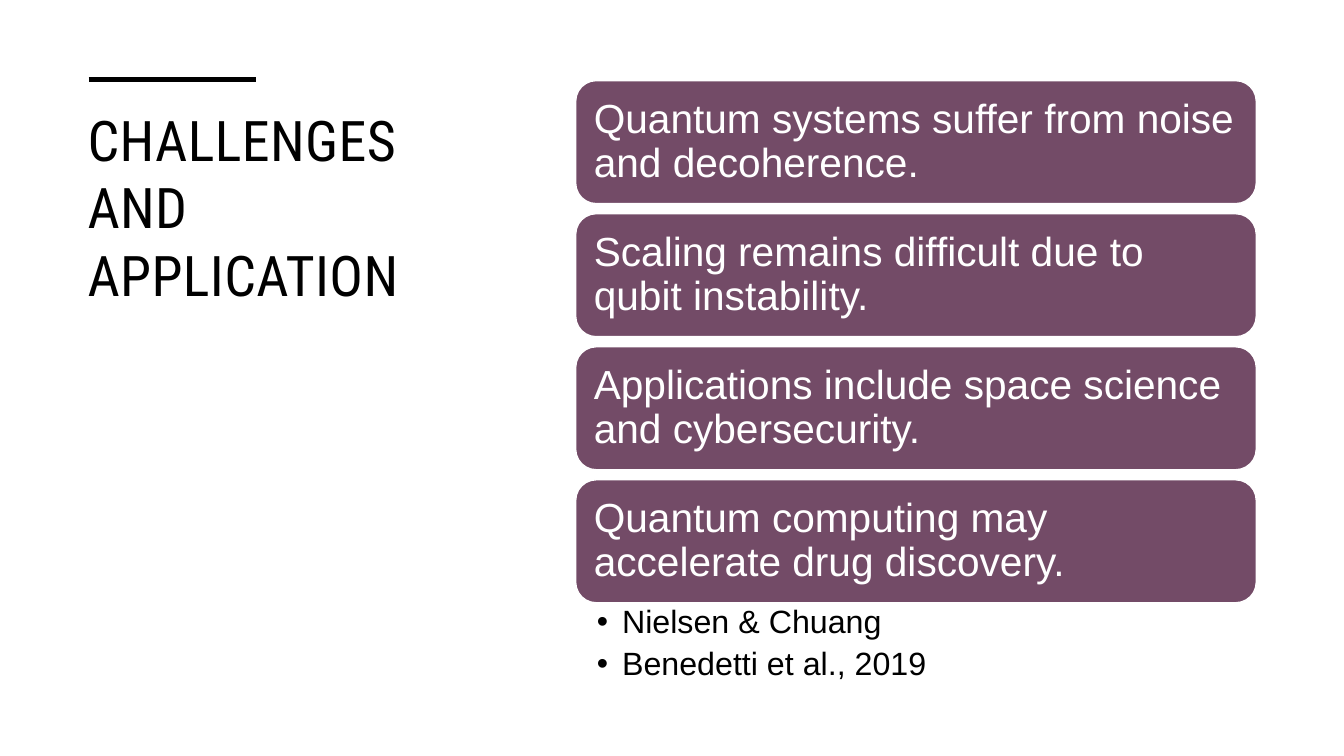
from dataclasses import dataclass

from lxml.etree import SubElement
from pptx import Presentation
from pptx.dml.color import RGBColor
from pptx.enum.shapes import MSO_CONNECTOR, MSO_SHAPE
from pptx.enum.text import MSO_ANCHOR, PP_ALIGN
from pptx.oxml.ns import qn
from pptx.shapes.autoshape import Shape
from pptx.slide import Slide
from pptx.util import Pt

EMU_PER_PX = 9144
BLACK = RGBColor(0x00, 0x00, 0x00)
WHITE = RGBColor(0xFF, 0xFF, 0xFF)
PLUM = RGBColor(0x73, 0x4B, 0x67)
HEADING_FONT = "Roboto Condensed"
BODY_FONT = "Arial"


@dataclass(frozen=True)
class Frame:
    left: int
    top: int
    width: int
    height: int

    def emu(self) -> tuple[int, int, int, int]:
        return px(self.left), px(self.top), px(self.width), px(self.height)


STATEMENTS = (
    "Quantum systems suffer from noise and decoherence.",
    "Scaling remains difficult due to qubit instability.",
    "Applications include space science and cybersecurity.",
    "Quantum computing may accelerate drug discovery.",
)
REFERENCES = ("Nielsen & Chuang", "Benedetti et al., 2019")
TITLE_FRAME = Frame(77, 100, 428, 435)
FIRST_CARD = Frame(571, 80, 675, 122)
CARD_STEP = 132
REFERENCE_FRAME = Frame(571, 597, 675, 82)


def px(length: int) -> int:
    return length * EMU_PER_PX


def write_text(
    box: Shape,
    lines: tuple[str, ...],
    *,
    size: int,
    color: RGBColor,
    font: str = BODY_FONT,
    margins: tuple[int, int, int, int] = (10, 5, 10, 5),
    anchor: MSO_ANCHOR = MSO_ANCHOR.TOP,
    line_spacing: float = 1.0,
    space_after: int = 0,
    tracking: int = 0,
    bullet_indent: int = 0,
) -> None:
    frame = box.text_frame
    frame.word_wrap = True
    frame.vertical_anchor = anchor
    frame.margin_left, frame.margin_top, frame.margin_right, frame.margin_bottom = map(px, margins)
    for index, line in enumerate(lines):
        para = frame.add_paragraph() if index else frame.paragraphs[0]
        para.alignment = PP_ALIGN.LEFT
        para.line_spacing = line_spacing
        para.space_after = Pt(space_after)
        if bullet_indent:
            properties = para._p.get_or_add_pPr()
            properties.set("marL", str(px(bullet_indent)))
            properties.set("indent", str(-px(bullet_indent)))
            SubElement(properties, qn("a:buFont"), typeface=BODY_FONT)
            SubElement(properties, qn("a:buChar"), char="•")
        span = para.add_run()
        span.text = line
        span.font.size = Pt(size)
        span.font.name = font
        span.font.color.rgb = color
        if tracking:
            span.font._element.set("spc", str(tracking))


def add_rule(page: Slide, left: int, right: int, top: int) -> None:
    rule = page.shapes.add_connector(
        MSO_CONNECTOR.STRAIGHT, px(left), px(top), px(right), px(top)
    )
    rule.line.color.rgb = BLACK
    rule.line.width = Pt(3.5)
    SubElement(rule._element.spPr, qn("a:effectLst"))


def add_card(page: Slide, frame: Frame, statement: str) -> None:
    card = page.shapes.add_shape(MSO_SHAPE.ROUNDED_RECTANGLE, *frame.emu())
    card.shadow.inherit = False
    card.fill.solid()
    card.fill.fore_color.rgb = PLUM
    card.line.color.rgb = WHITE
    card.line.width = Pt(1)
    write_text(
        card, (statement,), size=29, color=WHITE, margins=(12, 12, 12, 12),
        anchor=MSO_ANCHOR.MIDDLE, line_spacing=0.9,
    )


def main() -> None:
    deck = Presentation()
    deck.slide_width, deck.slide_height = px(1333), px(750)
    page = deck.slides.add_slide(deck.slide_layouts[6])

    title = page.shapes.add_textbox(*TITLE_FRAME.emu())
    write_text(
        title, ("CHALLENGES AND APPLICATION",), size=40, color=BLACK,
        font=HEADING_FONT, tracking=30,
    )
    add_rule(page, 88, 254, 79)

    for index, statement in enumerate(STATEMENTS):
        top = FIRST_CARD.top + index * CARD_STEP
        add_card(page, Frame(FIRST_CARD.left, top, FIRST_CARD.width, FIRST_CARD.height), statement)

    references = page.shapes.add_textbox(*REFERENCE_FRAME.emu())
    write_text(
        references, REFERENCES, size=23, color=BLACK, margins=(21, 4, 23, 4),
        line_spacing=0.9, space_after=5, bullet_indent=25,
    )
    deck.save("out.pptx")


if __name__ == "__main__":
    main()
